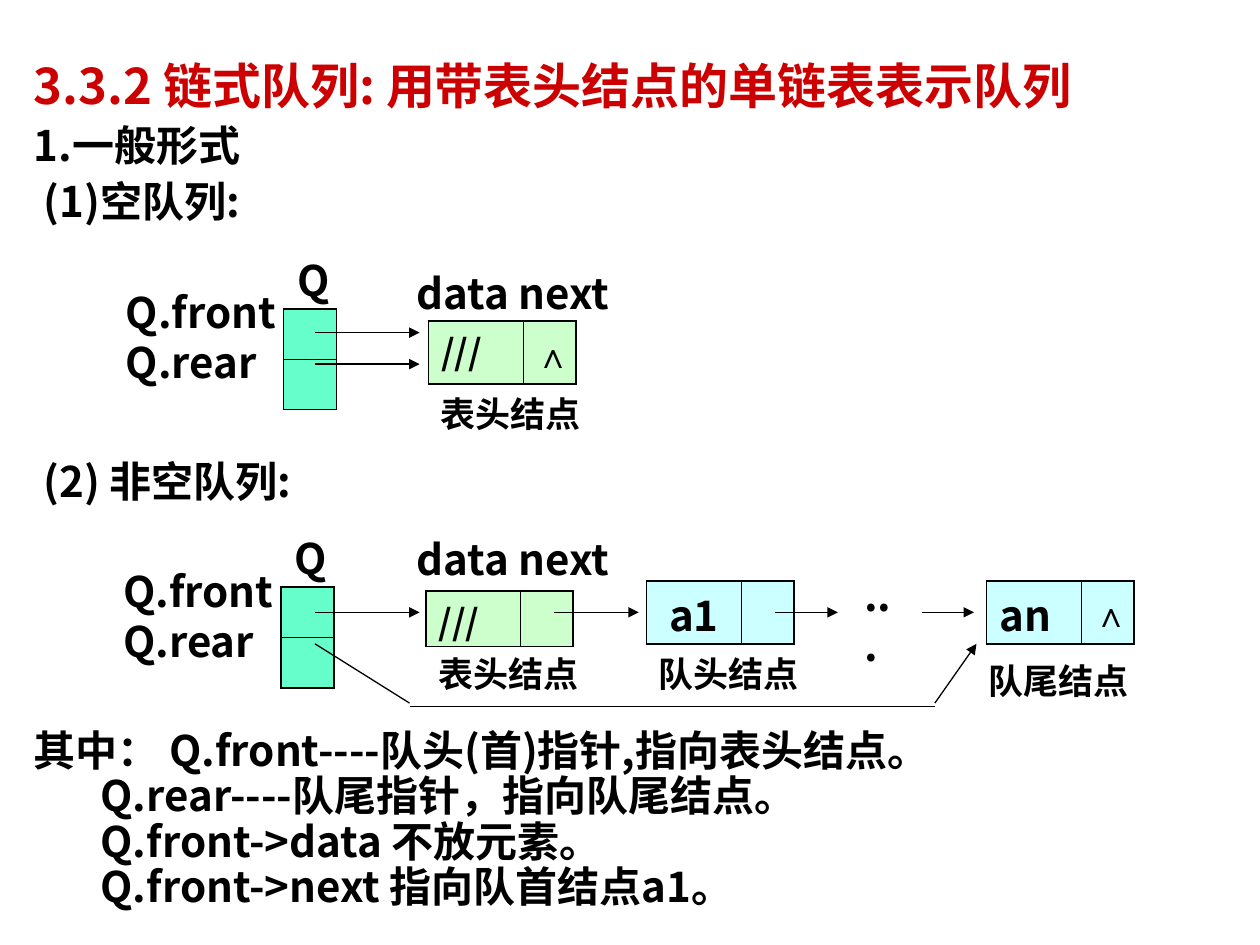
from lxml.etree import SubElement
from pptx import Presentation
from pptx.dml.color import RGBColor
from pptx.enum.shapes import MSO_CONNECTOR as CONN
from pptx.oxml.ns import qn
from pptx.util import Inches, Pt

FONT = "Noto Sans CJK SC"
BLACK, RED = "000000", "CC0000"
GREEN, AQUA, MINT = "CCFFCC", "CCFFFF", "66FFCC"
LEADING, TIGHT = 1.19, 1.08


def color(value):
    """Turn a hex string into a colour."""
    return RGBColor.from_string(value)


def write(p, text, size, fill=BLACK, font=FONT, leading=LEADING):
    """Add one bold run to a paragraph."""
    p.line_spacing = Pt(round(size * leading, 1))
    r = p.add_run()
    r.text = text
    r.font.size, r.font.bold, r.font.name = Pt(size), True, font
    r.font.color.rgb = color(fill)
    SubElement(r._r.get_or_add_rPr(), qn("a:ea"), typeface=font)


def textbox(s, x, y, w, h, lines, leading=LEADING, gap=0):
    """Place a text box; each line is text, size, colour and indent."""
    tf = s.shapes.add_textbox(Inches(x), Inches(y), Inches(w), Inches(h)).text_frame
    tf.word_wrap = True
    for i, (text, size, fill, indent) in enumerate(lines):
        p = tf.paragraphs[0] if i == 0 else tf.add_paragraph()
        p.space_before = Pt(gap if i else 0)
        if indent:
            p._p.get_or_add_pPr().set("marL", str(Inches(indent)))
        write(p, text, size, fill, leading=leading)


def label(s, x, y, w, *texts, size=24):
    """Place black lines of one size."""
    height = 0.1 + len(texts) * size / 60
    textbox(s, x, y, w, height, [(t, size, BLACK, 0) for t in texts])


def border(cell, side, width):
    """Draw one side of a cell."""
    ln = SubElement(cell._tc.get_or_add_tcPr(), qn(f"a:ln{side}"), w=str(Pt(width)))
    fill = SubElement(ln, qn("a:solidFill"))
    SubElement(fill, qn("a:srgbClr"), val=BLACK)


def grid(s, x, y, widths, heights, fill):
    """Place a filled table with a thick frame and thin inner lines."""
    rows, cols = len(heights), len(widths)
    frame = s.shapes.add_table(rows, cols, Inches(x), Inches(y),
                               Inches(sum(widths)), Inches(sum(heights)))
    table = frame.table
    table.first_row = table.horz_banding = False
    for c, w in enumerate(widths):
        table.columns[c].width = Inches(w)
    for r, h in enumerate(heights):
        table.rows[r].height = Inches(h)
        for c in range(cols):
            cell = table.cell(r, c)
            outer = {"L": c == 0, "R": c == cols - 1, "T": r == 0, "B": r == rows - 1}
            for side, edge in outer.items():
                border(cell, side, 1.08 if edge else 0.45)
            cell.fill.solid()
            cell.fill.fore_color.rgb = color(fill)
            cell.margin_top = cell.margin_bottom = 0
    return table


def node(s, x, y, h, fill, data, link, caption, shift=(0, 0.52), size=20, pad=0.1):
    """Place a list node with its data, link and caption."""
    table = grid(s, x, y, [0.75, 0.42], [h], fill)
    for cell, text, pt, font in ((table.cell(0, 0), data, size, FONT),
                                 (table.cell(0, 1), link, 20, "Arial")):
        cell.margin_top = Inches(0.1)
        if text:
            write(cell.text_frame.paragraphs[0], text, pt, font=font)
    table.cell(0, 0).margin_left = Inches(pad)
    label(s, x + shift[0], y + shift[1], 1.6, caption, size=20)


def pointers(s, x, y):
    """Place the front and rear pointer cells with their names."""
    label(s, x - 1.35, y - 0.22, 1.45, "Q.front", "Q.rear")
    label(s, x + 0.01, y - 0.48, 0.42, "Q")
    grid(s, x, y, [0.42], [0.4, 0.4], MINT)


def line(s, x1, y1, x2, y2, arrow=True):
    """Draw a thin line, with an arrowhead at its end if wanted."""
    c = s.shapes.add_connector(CONN.STRAIGHT, Inches(x1), Inches(y1), Inches(x2), Inches(y2))
    c.line.width = Pt(0.75)
    c.line.color.rgb = color(BLACK)
    if arrow:
        SubElement(c.line._get_or_add_ln(), qn("a:tailEnd"), type="triangle")
    SubElement(c._element.spPr, qn("a:effectLst"))


def body(s, x, y, w):
    """Place the headings and the closing notes."""
    textbox(s, x, y, w, 1.45, [
        ("3.3.2 链式队列: 用带表头结点的单链表表示队列", 28, RED, 0),
        ("1.一般形式", 24, BLACK, 0),
        ("(1)空队列:", 24, BLACK, 0.08)], TIGHT, 6)
    textbox(s, x, y + 3.17, w, 0.46, [("(2) 非空队列:", 24, BLACK, 0.08)], TIGHT)
    textbox(s, x, y + 5.3, w, 1.54, [
        ("其中： Q.front----队头(首)指针,指向表头结点。", 24, BLACK, 0),
        ("Q.rear----队尾指针，指向队尾结点。", 24, BLACK, 0.53),
        ("Q.front->data 不放元素。", 24, BLACK, 0.53),
        ("Q.front->next 指向队首结点a1。", 24, BLACK, 0.53)], TIGHT)


def empty_queue(s, x, y):
    """Place the empty queue, from the corner of its pointer cells."""
    pointers(s, x, y)
    label(s, x + 0.96, y - 0.37, 1.8, "data next")
    node(s, x + 1.15, y + 0.1, 0.5, GREEN, "///", "∧", "表头结点")
    for dy in (0.19, 0.44):
        line(s, x + 0.25, y + dy, x + 1.08, y + dy)


def filled_queue(s, x, y):
    """Place the queue with elements, from the corner of its pointer cells."""
    pointers(s, x, y)
    label(s, x + 0.98, y - 0.47, 1.8, "data next")
    node(s, x + 1.15, y + 0.03, 0.44, GREEN, "///", "", "表头结点", (0, 0.44))
    node(s, x + 2.9, y - 0.05, 0.5, AQUA, "a1", "", "队头结点", size=24, pad=0.18)
    node(s, x + 5.6, y - 0.05, 0.5, AQUA, "an", "∧", "队尾结点", (-0.08, 0.58), 24)
    label(s, x + 4.53, y - 0.19, 0.48, "...")
    for start, end in ((0.27, 1.1), (2.17, 2.84), (3.92, 4.42), (5.09, 5.5)):
        line(s, x + start, y + 0.2, x + end, y + 0.2)
    line(s, x + 0.27, y + 0.45, x + 1.02, y + 0.92, arrow=False)
    line(s, x + 1.02, y + 0.95, x + 5.19, y + 0.95, arrow=False)
    line(s, x + 5.19, y + 0.92, x + 5.52, y + 0.45)


def main():
    """Build and save the slide."""
    prs = Presentation()
    prs.slide_width, prs.slide_height = Inches(10), Inches(7.5)
    s = prs.slides.add_slide(prs.slide_layouts[6])
    body(s, 0.17, 0.44, 9.58)
    empty_queue(s, 2.25, 2.45)
    filled_queue(s, 2.23, 4.66)
    prs.save("out.pptx")


if __name__ == "__main__":
    main()
